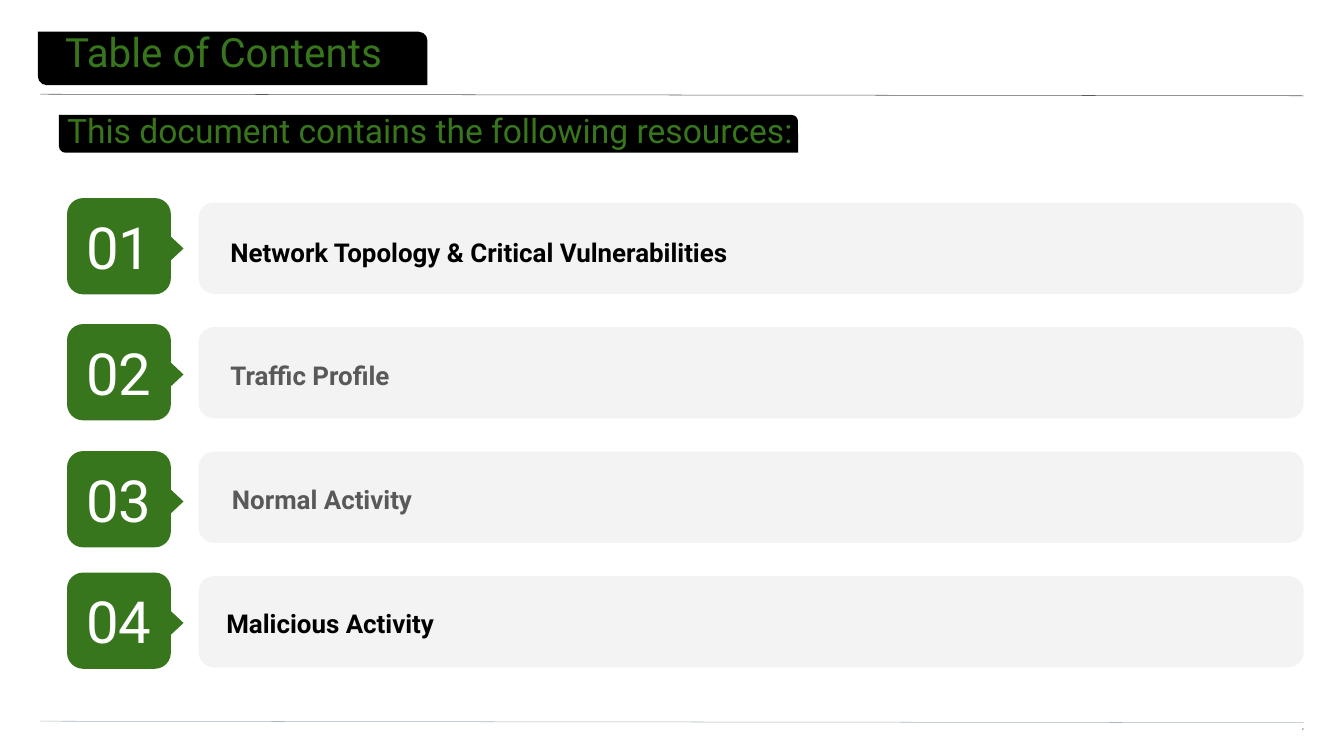
from lxml.etree import SubElement
from pptx import Presentation
from pptx.dml.color import RGBColor
from pptx.enum.shapes import MSO_CONNECTOR, MSO_SHAPE as Shape
from pptx.enum.text import MSO_ANCHOR as Anchor, MSO_AUTO_SIZE, PP_ALIGN as Align
from pptx.oxml.ns import qn
from pptx.util import Inches, Pt

WIDTH, HEIGHT = 26.66, 15
GREEN, BLACK, WHITE, GREY, PALE = "38761D", "000000", "FFFFFF", "595959", "F3F3F3"

TITLE = "Table of Contents"
SUBTITLE = "This document contains the following resources:"
PAGE_NUMBER = "2"
# label, colour, badge shift up from its bar, label shift (right, down)
ENTRIES = [
    ("Network Topology & Critical Vulnerabilities", BLACK, 0.09, (0.04, 0.06)),
    ("Traffic Profile", GREY, 0.06, (0.04, 0.02)),
    ("Normal Activity", GREY, 0.01, (0.07, 0.01)),
    ("Malicious Activity", BLACK, 0.07, (-0.04, 0)),
]
RULES = [(1.87, GREY), (14.31, "A9B7C0")]

RIGHT_EDGE = 25.86
ROW_TOP, ROW_PITCH = 4.02, 2.47
BAR_LEFT, BAR_HEIGHT = 3.94, 1.81
BADGE_LEFT, BADGE_WIDTH, BADGE_HEIGHT = 1.33, 2.06, 1.91
POINTER_WIDTH, POINTER_HEIGHT = 1.05, 0.56
POINTER_CENTER = 3.36


def rgb(value):
    return RGBColor.from_string(value)


def add_block(shapes, kind, left, top, width, height, color):
    shape = shapes.add_shape(kind, *map(Inches, (left, top, width, height)))
    shape.shadow.inherit = False
    shape.fill.solid()
    shape.fill.fore_color.rgb = rgb(color)
    shape.line.fill.background()
    return shape


def add_highlight(shapes, left, top, width, height):
    """Black panel with its top right and bottom left corners rounded."""
    shape = add_block(shapes, Shape.ROUND_2_DIAG_RECTANGLE, left, top, width, height, BLACK)
    shape.adjustments[0] = 0
    shape.adjustments[1] = 0.167


def add_rule(shapes, top, color):
    line = shapes.add_connector(MSO_CONNECTOR.STRAIGHT, Inches(0.8), Inches(top),
                                Inches(RIGHT_EDGE), Inches(top + 0.03))
    line.line.color.rgb = rgb(color)
    line.line.width = Pt(0.75)
    SubElement(line._element.spPr, qn("a:effectLst"))


def write(shape, text, size, color, font="Roboto", bold=False, align=Align.LEFT,
          anchor=Anchor.TOP, insets=(0, 0, 0, 0), spacing=1.0):
    frame = shape.text_frame
    frame.word_wrap = True
    frame.auto_size = MSO_AUTO_SIZE.NONE
    frame.vertical_anchor = anchor
    (frame.margin_left, frame.margin_top,
     frame.margin_right, frame.margin_bottom) = map(Inches, insets)
    paragraph = frame.paragraphs[0]
    paragraph.alignment = align
    paragraph.line_spacing = spacing
    paragraph.space_before = Pt(0)
    run = paragraph.add_run()
    run.text = text
    run.font.name = font
    run.font.size = Pt(size)
    run.font.bold = bold
    run.font.color.rgb = rgb(color)


def add_text(shapes, text, left, top, width, height, **style):
    box = shapes.add_textbox(*map(Inches, (left, top, width, height)))
    write(box, text, **style)


def add_badge(shapes, number, top):
    group = shapes.add_group_shape().shapes
    badge = add_block(group, Shape.ROUNDED_RECTANGLE, BADGE_LEFT, top,
                      BADGE_WIDTH, BADGE_HEIGHT, GREEN)
    write(badge, f"{number:02d}", size=83, color=WHITE, align=Align.CENTER,
          anchor=Anchor.MIDDLE, insets=(0.1,) * 4)
    pointer = add_block(group, Shape.FLOWCHART_EXTRACT, POINTER_CENTER - POINTER_WIDTH / 2,
                        top + (BADGE_HEIGHT + 0.09 - POINTER_HEIGHT) / 2,
                        POINTER_WIDTH, POINTER_HEIGHT, GREEN)
    pointer.rotation = 90


def add_entry(shapes, index, label, color, badge_shift, label_shift):
    top = ROW_TOP + index * ROW_PITCH
    right, down = label_shift
    add_block(shapes, Shape.ROUNDED_RECTANGLE, BAR_LEFT, top,
              RIGHT_EDGE - BAR_LEFT, BAR_HEIGHT, PALE)
    add_text(shapes, label, right, top + down, WIDTH, 1.77, size=37, color=color, bold=True,
             anchor=Anchor.MIDDLE, insets=(4.53, 0, 1.33, 0), spacing=1.15)
    add_badge(shapes, index + 1, top - badge_shift)


def main():
    presentation = Presentation()
    presentation.slide_width = Inches(WIDTH)
    presentation.slide_height = Inches(HEIGHT)
    slide = presentation.slides.add_slide(presentation.slide_layouts[5])
    shapes = slide.shapes

    for top, color in RULES:
        add_rule(shapes, top, color)

    add_highlight(shapes, 0.75, 0.63, 7.73, 1.06)
    title = shapes.title
    title.left, title.top, title.width, title.height = map(Inches, (-0.04, 0, 26.73, 1.56))
    write(title, TITLE, size=57.6, color=GREEN, insets=(1.33, 0.53, 0.8, 0.27))
    shapes._spTree.append(title._element)  # in front of its highlight

    add_highlight(shapes, 1.17, 2.28, 14.66, 0.75)
    add_text(shapes, SUBTITLE, 0, 1.97, WIDTH, 1.06, size=48, color=GREEN,
             insets=(1.33, 0.27, 1.33, 0), spacing=0.95)

    for index, entry in enumerate(ENTRIES):
        add_entry(shapes, index, *entry)

    add_text(shapes, PAGE_NUMBER, 25.1, 14.46, 0.76, 0.31, size=4, color=BLACK, font="Arial",
             align=Align.RIGHT, insets=(0, 0, 0, 0.27), spacing=0.8)
    presentation.save("out.pptx")


if __name__ == "__main__":
    main()
